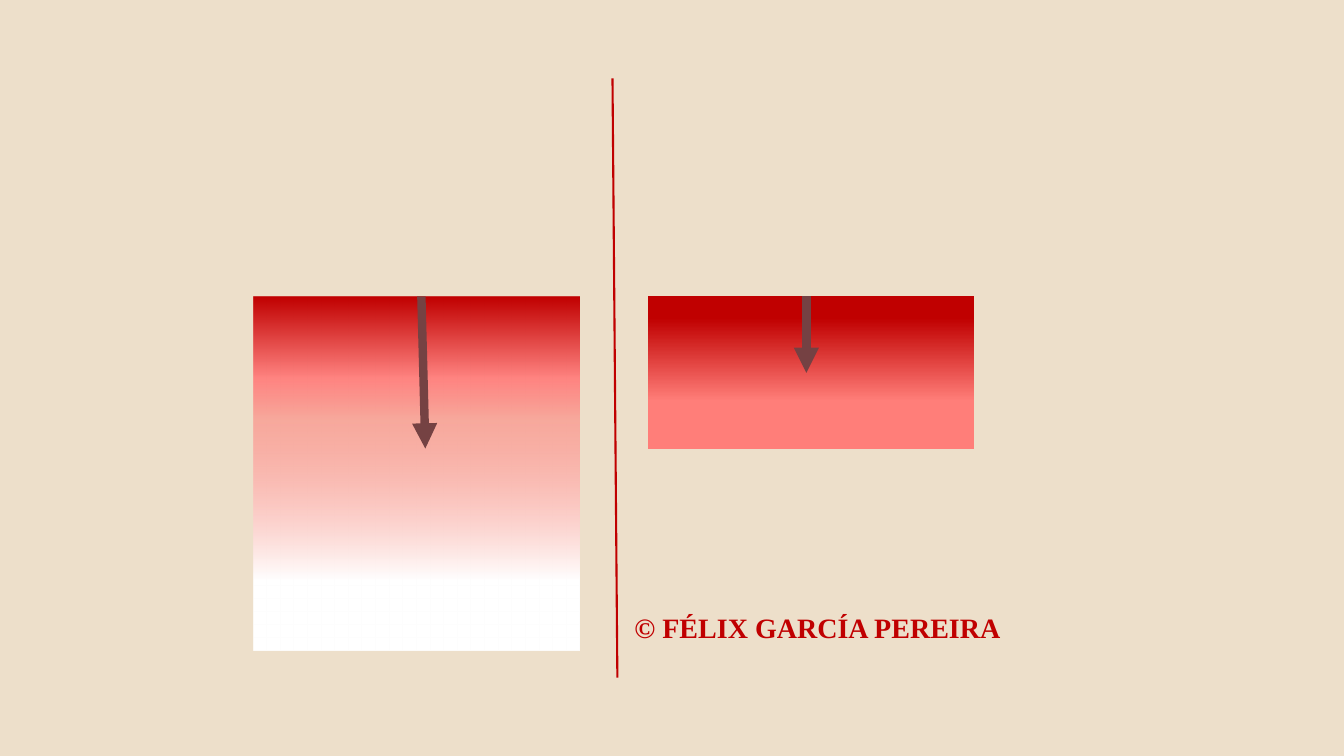
from lxml import etree
from pptx import Presentation
from pptx.dml.color import RGBColor
from pptx.enum.shapes import MSO_CONNECTOR, MSO_SHAPE
from pptx.enum.text import MSO_AUTO_SIZE, PP_ALIGN
from pptx.oxml.ns import qn
from pptx.util import Pt

RECT = MSO_SHAPE.RECTANGLE
STRAIGHT = MSO_CONNECTOR.STRAIGHT
GROW = MSO_AUTO_SIZE.SHAPE_TO_FIT_TEXT
CENTER = PP_ALIGN.CENTER

SAND = RGBColor(0xED, 0xDF, 0xCA)
RED = RGBColor(0xC0, 0x00, 0x00)
CORAL = RGBColor(0xFF, 0x7E, 0x79)
LIGHT_CORAL = RGBColor(0xFF, 0x84, 0x81)
WHITE = RGBColor(0xFF, 0xFF, 0xFF)
BROWN = RGBColor(0x75, 0x42, 0x43)
BROWN_RIGHT = RGBColor(0x75, 0x41, 0x43)

BAND_TOP = 211.7
BAND_WIDTH = 232.6
LONG_FADE = [(20, WHITE, 100), (65, CORAL, 55), (77, LIGHT_CORAL, 100), (100, RED, 100)]
SHORT_FADE = [(0, CORAL, 100), (31, CORAL, 100), (86, RED, 100), (100, RED, 100)]
CAPTION_FONT = {"name": "Times New Roman", "size": Pt(20), "bold": True}


def add_band(slide, left, height, stops):
    """Add a rectangle whose gradient stops (percent, colour, opacity) run upwards."""
    sp = slide.shapes.add_shape(RECT, Pt(left), Pt(BAND_TOP), Pt(BAND_WIDTH), Pt(height))
    sp.shadow.inherit = False
    sp.line.fill.background()
    sp.fill.gradient()
    sp.fill.gradient_angle = 90
    gs_list = sp.element.spPr.find(".//" + qn("a:gsLst"))
    for gs in list(gs_list):
        gs_list.remove(gs)
    for percent, color, opacity in stops:
        gs = etree.SubElement(gs_list, qn("a:gs"), pos=str(percent * 1000))
        clr = etree.SubElement(gs, qn("a:srgbClr"), val=str(color))
        if opacity < 100:
            etree.SubElement(clr, qn("a:alpha"), val=str(opacity * 1000))


def add_line(slide, start, end, color, width, arrow=False):
    """Add a straight line, with an arrowhead at its end if asked."""
    line = slide.shapes.add_connector(STRAIGHT, *map(Pt, start + end))
    line.line.color.rgb = color
    line.line.width = Pt(width)
    if arrow:
        etree.SubElement(line.line._get_or_add_ln(), qn("a:tailEnd"), type="triangle")
    etree.SubElement(line.element.spPr, qn("a:effectLst"))


def add_caption(slide, box, text):
    """Add a centred line of bold red text."""
    tf = slide.shapes.add_textbox(*map(Pt, box)).text_frame
    tf.word_wrap = True
    tf.auto_size = GROW
    p = tf.paragraphs[0]
    p.alignment = CENTER
    r = p.add_run()
    r.text = text
    for name, value in CAPTION_FONT.items():
        setattr(r.font, name, value)
    r.font.color.rgb = RED


def main():
    """Build the slide and save it."""
    prs = Presentation()
    prs.slide_width, prs.slide_height = Pt(960), Pt(540)
    slide = prs.slides.add_slide(prs.slide_layouts[6])
    slide.background.fill.solid()
    slide.background.fill.fore_color.rgb = SAND

    add_band(slide, 463, 108.7, SHORT_FADE)
    add_band(slide, 181.2, 252.7, LONG_FADE)
    add_line(slide, (301, BAND_TOP), (303.8, 320.4), BROWN, 6, arrow=True)
    add_line(slide, (576, BAND_TOP), (576, 266.4), BROWN_RIGHT, 6, arrow=True)
    add_line(slide, (437.5, 56), (441, 484), RED, 1.5)
    add_caption(slide, (437.5, 432.7, 293, 31.7), "© FÉLIX GARCÍA PEREIRA")
    prs.save("out.pptx")


if __name__ == "__main__":
    main()
